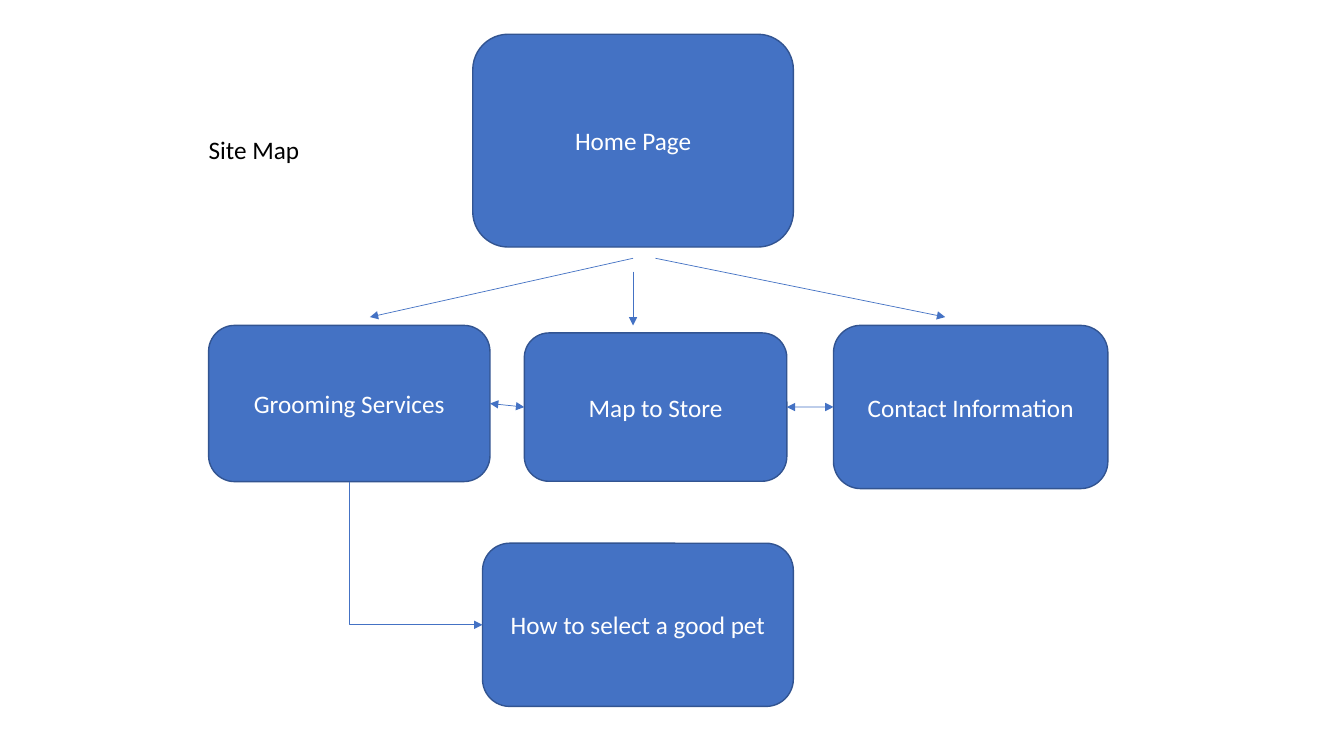
from lxml.etree import SubElement
from pptx import Presentation
from pptx.dml.color import RGBColor
from pptx.enum.shapes import MSO_CONNECTOR, MSO_SHAPE
from pptx.enum.text import MSO_ANCHOR, PP_ALIGN
from pptx.oxml.ns import qn
from pptx.util import Pt

FONT = "Calibri"
BLUE, OUTLINE, WHITE, BLACK = "4472C4", "325491", "FFFFFF", "000000"
TOP, LEFT, BOTTOM, RIGHT = range(4)  # connection sites of a box


def color(value):
    return RGBColor.from_string(value)


def place(shape, left, top, width, height):
    shape.left, shape.top = Pt(left), Pt(top)
    shape.width, shape.height = Pt(width), Pt(height)


def write(shape, text, text_color, alignment, anchor):
    frame = shape.text_frame
    frame.vertical_anchor = anchor
    paragraph = frame.paragraphs[0]
    paragraph.alignment = alignment
    run = paragraph.add_run()
    run.text = text
    run.font.name = FONT
    run.font.size = Pt(18)
    run.font.color.rgb = color(text_color)


def add_title(slide, box):
    title = slide.shapes.title
    place(title, *box)
    title.text_frame.word_wrap = False
    write(title, "Site Map", BLACK, PP_ALIGN.LEFT, MSO_ANCHOR.TOP)
    title.text_frame.paragraphs[0].line_spacing = 1.0


def add_page(slide, text, box):
    page = slide.shapes.add_shape(MSO_SHAPE.ROUNDED_RECTANGLE, *map(Pt, box))
    page.shadow.inherit = False
    page.fill.solid()
    page.fill.fore_color.rgb = color(BLUE)
    page.line.color.rgb = color(OUTLINE)
    page.line.width = Pt(1)
    page.text_frame.word_wrap = True
    write(page, text, WHITE, PP_ALIGN.CENTER, MSO_ANCHOR.MIDDLE)
    return page


def add_arrow(slide, start=(0, 0), end=(0, 0), kind=MSO_CONNECTOR.STRAIGHT, both_ways=False):
    arrow = slide.shapes.add_connector(kind, *map(Pt, start + end))
    arrow.line.color.rgb = color(BLUE)
    arrow.line.width = Pt(0.5)
    line = arrow.line._get_or_add_ln()
    for tag in ("a:headEnd", "a:tailEnd") if both_ways else ("a:tailEnd",):
        SubElement(line, qn(tag)).set("type", "triangle")
    SubElement(arrow._element.spPr, qn("a:effectLst"))
    return arrow


def add_home_arrows(slide, home_box):
    """Three arrows fanning out below the home page."""
    left, top, width, height = home_box
    center, bottom = left + width / 2, top + height
    for start_x, start_y, end_x, end_y in (
        (0, 8, -188, 50),
        (0, 17.5, 0, 56),
        (16, 8, 223, 50),
    ):
        add_arrow(slide, (center + start_x, bottom + start_y),
                  (center + end_x, bottom + end_y))


def add_neighbor_arrow(slide, left_page, right_page):
    arrow = add_arrow(slide, both_ways=True)
    arrow.begin_connect(left_page, RIGHT)
    arrow.end_connect(right_page, LEFT)


def add_elbow_arrow(slide, upper_page, lower_page):
    """One bend: down from the upper page, then right into the lower one."""
    arrow = add_arrow(slide, kind=MSO_CONNECTOR.ELBOW)
    arrow.begin_connect(upper_page, BOTTOM)
    arrow.end_connect(lower_page, LEFT)
    left, top, across, down = arrow.left, arrow.top, arrow.width, arrow.height
    # The frame is turned a quarter, so its sides swap about the same center
    arrow.left = left + (across - down) // 2
    arrow.top = top + (down - across) // 2
    arrow.width, arrow.height = down, across
    properties = arrow._element.spPr
    properties.find(qn("a:prstGeom")).set("prst", "bentConnector2")
    frame = properties.find(qn("a:xfrm"))
    frame.set("rot", "16200000")
    frame.set("flipH", "1")


def build_site_map(slide):
    # Title
    add_title(slide, (141.8, 92.2, 80, 29))

    # Pages
    home_box = (337.7, 24.5, 229, 152)
    add_page(slide, "Home Page", home_box)
    grooming = add_page(slide, "Grooming Services", (149, 232.4, 201, 111.6))
    store_map = add_page(slide, "Map to Store", (374.5, 237.8, 187.5, 106))
    contact = add_page(slide, "Contact Information", (595.4, 232.4, 196, 116.6))
    pet_guide = add_page(slide, "How to select a good pet", (344.7, 388, 222, 116.6))

    # Links
    add_home_arrows(slide, home_box)
    add_neighbor_arrow(slide, grooming, store_map)
    add_neighbor_arrow(slide, store_map, contact)
    add_elbow_arrow(slide, grooming, pet_guide)


def main():
    presentation = Presentation()
    presentation.slide_width, presentation.slide_height = Pt(960), Pt(540)
    title_only = presentation.slide_layouts[5]
    build_site_map(presentation.slides.add_slide(title_only))
    presentation.save("out.pptx")


if __name__ == "__main__":
    main()
